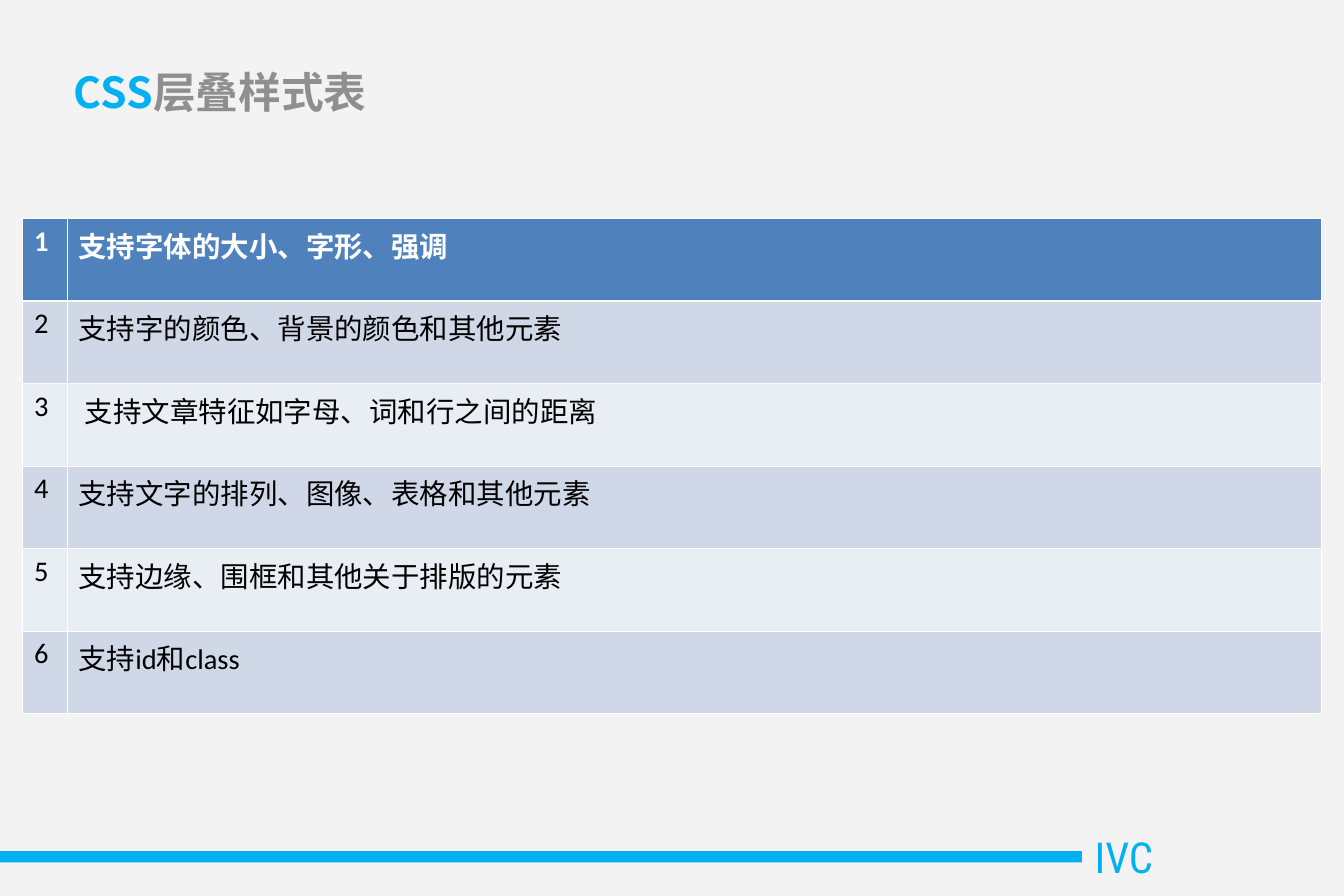
from dataclasses import dataclass

from lxml.etree import SubElement
from pptx import Presentation
from pptx.dml.color import RGBColor
from pptx.enum.shapes import MSO_SHAPE
from pptx.enum.text import MSO_ANCHOR, PP_ALIGN
from pptx.oxml.ns import qn
from pptx.util import Pt

COLORS = {
    "background": "F3F3F3",
    "accent": "00B0F0",
    "title": "8F8F8F",
    "header": "4F81BD",
    "band_dark": "D0D8E8",
    "band_light": "E9EDF4",
    "white": "FFFFFF",
    "black": "000000",
}
CJK_FONT = "Noto Sans CJK SC"
THIN, THICK = 0.45, 1.47
TABLE_LEFT, TABLE_TOP = 14.4, 138.24
COLUMN_WIDTHS = (28.08, 793.44)
ROW_HEIGHT = 52.2
FEATURES = (
    "支持字体的大小、字形、强调",
    "支持字的颜色、背景的颜色和其他元素",
    " 支持文章特征如字母、词和行之间的距离",
    "支持文字的排列、图像、表格和其他元素",
    "支持边缘、围框和其他关于排版的元素",
    "支持id和class",
)


@dataclass(frozen=True)
class TextStyle:
    """Font settings of a run."""

    size: float
    font: str
    color: str
    bold: bool = False


@dataclass(frozen=True)
class Block:
    """A plain rectangle in points."""

    left: float
    top: float
    width: float
    height: float
    color: str


FOOTER_BAR = Block(0, 538.56, 850.4, 7.2, "accent")
FOOTER_LABEL = Block(684.72, 521.28, 165.68, 40.32, "background")


def rgb(name: str) -> RGBColor:
    """Return a named colour."""
    return RGBColor.from_string(COLORS[name])


def add_run(paragraph, text: str, style: TextStyle) -> None:
    """Append a styled run, with the font for Chinese characters."""
    run = paragraph.add_run()
    run.text = text
    run.font.size = Pt(style.size)
    run.font.name = style.font
    run.font.bold = style.bold
    run.font.color.rgb = rgb(style.color)
    SubElement(run.font._element, qn("a:ea"), typeface=CJK_FONT)


def set_margins(frame, horizontal: float, vertical: float) -> None:
    """Set symmetric margins on a text frame or table cell."""
    frame.margin_left = frame.margin_right = Pt(horizontal)
    frame.margin_top = frame.margin_bottom = Pt(vertical)


def add_block(slide, block: Block):
    """Draw a filled rectangle without an outline."""
    shape = slide.shapes.add_shape(
        MSO_SHAPE.RECTANGLE, Pt(block.left), Pt(block.top), Pt(block.width), Pt(block.height)
    )
    shape.shadow.inherit = False
    shape.fill.solid()
    shape.fill.fore_color.rgb = rgb(block.color)
    shape.line.fill.background()
    return shape


def add_footer(slide) -> None:
    """Draw the footer bar and its label."""
    add_block(slide, FOOTER_BAR)
    frame = add_block(slide, FOOTER_LABEL).text_frame
    frame.word_wrap = True
    frame.vertical_anchor = MSO_ANCHOR.TOP
    set_margins(frame, 7.92, 4.32)
    paragraph = frame.paragraphs[0]
    paragraph.alignment = PP_ALIGN.LEFT
    add_run(paragraph, "IVC", TextStyle(27, "Roboto Condensed", "accent"))


def format_title(slide) -> None:
    """Place and fill the title."""
    title = slide.shapes.title
    title.left, title.top, title.width, title.height = Pt(38.88), Pt(35.28), Pt(765.36), Pt(44.64)
    frame = title.text_frame
    frame.word_wrap = True
    frame.vertical_anchor = MSO_ANCHOR.MIDDLE
    set_margins(frame, 7.92, 4.32)
    paragraph = frame.paragraphs[0]
    paragraph.alignment = PP_ALIGN.LEFT
    for text, color in (("CSS", "accent"), ("层叠样式表", "title")):
        add_run(paragraph, text, TextStyle(27, CJK_FONT, color, True))


def set_borders(cell, top: float, bottom: float) -> None:
    """Give a cell white borders."""
    properties = cell._tc.get_or_add_tcPr()
    for side, width in (("L", THIN), ("R", THIN), ("T", top), ("B", bottom)):
        line = SubElement(properties, qn(f"a:ln{side}"), w=str(int(Pt(width))))
        fill = SubElement(line, qn("a:solidFill"))
        SubElement(fill, qn("a:srgbClr"), val=COLORS["white"])


def fill_cell(cell, text: str, row: int) -> None:
    """Format one cell according to its row."""
    is_header = row == 0
    set_margins(cell, 7.2, 3.6)
    set_borders(cell, THICK if row == 1 else THIN, THICK if is_header else THIN)
    cell.fill.solid()
    band = "band_dark" if row % 2 else "band_light"
    cell.fill.fore_color.rgb = rgb("header" if is_header else band)
    paragraph = cell.text_frame.paragraphs[0]
    paragraph.space_before = Pt(4.5)
    color = "white" if is_header else "black"
    add_run(paragraph, text, TextStyle(18, "Calibri", color, is_header))


def add_feature_table(slide) -> None:
    """Draw the numbered feature table."""
    table = slide.shapes.add_table(
        len(FEATURES), len(COLUMN_WIDTHS), Pt(TABLE_LEFT), Pt(TABLE_TOP),
        Pt(sum(COLUMN_WIDTHS)), Pt(ROW_HEIGHT * len(FEATURES)),
    ).table
    for column, width in zip(table.columns, COLUMN_WIDTHS):
        column.width = Pt(width)
    for row, feature in enumerate(FEATURES):
        table.rows[row].height = Pt(ROW_HEIGHT)
        for column, text in enumerate((str(row + 1), feature)):
            fill_cell(table.cell(row, column), text, row)


def main() -> None:
    """Build and save the slide."""
    presentation = Presentation()
    presentation.slide_width, presentation.slide_height = Pt(850.4), Pt(566.9)
    slide = presentation.slides.add_slide(presentation.slide_layouts[5])
    slide.background.fill.solid()
    slide.background.fill.fore_color.rgb = rgb("background")
    add_footer(slide)
    format_title(slide)
    add_feature_table(slide)
    presentation.save("out.pptx")


if __name__ == "__main__":
    main()
